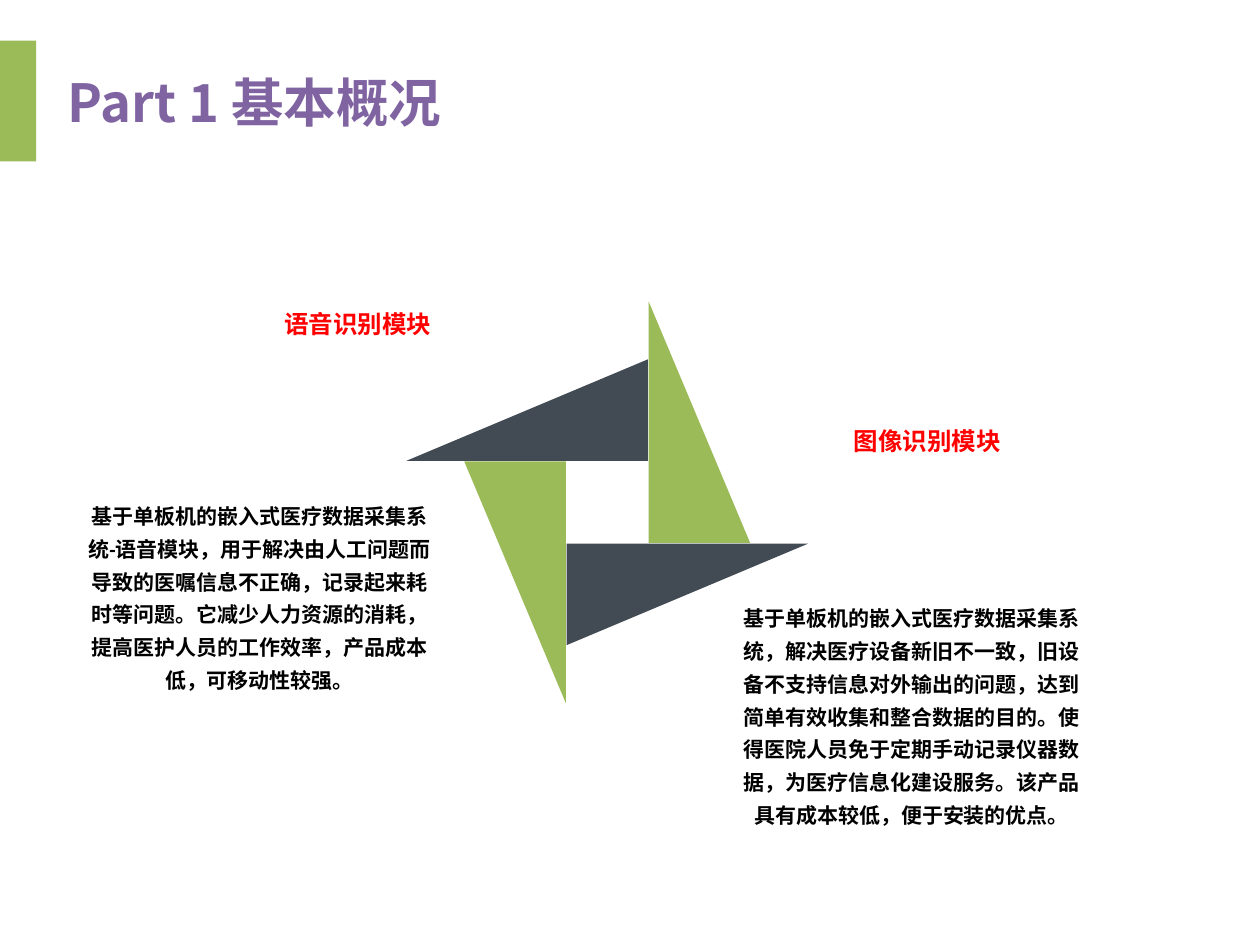
"""Build the project overview slide with a four-blade pinwheel and two modules."""
import pptx
import pptx.dml.color
import pptx.enum.shapes
import pptx.enum.text
import pptx.util

Pt = pptx.util.Pt
SHAPES = pptx.enum.shapes.MSO_SHAPE
ANCHOR = pptx.enum.text.MSO_ANCHOR
ALIGN = pptx.enum.text.PP_ALIGN
GREEN, SLATE, PURPLE, RED, BLACK = "9BBB59", "424A53", "8064A2", "FF0000", "000000"

presentation = pptx.Presentation()
presentation.slide_width, presentation.slide_height = Pt(720), Pt(540)
slide = presentation.slides.add_slide(presentation.slide_layouts[6])


def add_filled_shape(kind, left, top, width, height, color, rotation=0):
    shape = slide.shapes.add_shape(kind, Pt(left), Pt(top), Pt(width), Pt(height))
    shape.rotation = rotation
    shape.shadow.inherit = False
    shape.fill.solid()
    shape.fill.fore_color.rgb = pptx.dml.color.RGBColor.from_string(color)
    shape.line.fill.background()


def add_text(text, left, top, width, height, size, color, font="Calibri",
             align=ALIGN.CENTER, anchor=ANCHOR.TOP, spacing=1.3):
    text_box = slide.shapes.add_textbox(Pt(left), Pt(top), Pt(width), Pt(height))
    frame = text_box.text_frame
    frame.word_wrap = True
    frame.vertical_anchor = anchor
    paragraph = frame.paragraphs[0]
    paragraph.alignment = align
    paragraph.line_spacing = spacing
    run = paragraph.add_run()
    run.text = text
    run.font.name = font
    run.font.size = Pt(size)
    run.font.bold = True
    run.font.color.rgb = pptx.dml.color.RGBColor.from_string(color)


add_filled_shape(SHAPES.RECTANGLE, 0, 23.3, 20.7, 69, GREEN)
add_text("Part 1 基本概况", 31.7, 23.3, 269.3, 69, 30, PURPLE, font="Noto Sans CJK SC",
         align=ALIGN.LEFT, anchor=ANCHOR.MIDDLE, spacing=1)

center_x, center_y = 347, 287
blade_width, blade_height = 58, 138
offset_x, offset_y = 52.7, -45.7
for rotation, color in ((0, GREEN), (270, SLATE), (180, GREEN), (90, SLATE)):
    add_filled_shape(SHAPES.RIGHT_TRIANGLE,
                     center_x + offset_x - blade_width / 2,
                     center_y + offset_y - blade_height / 2,
                     blade_width, blade_height, color, rotation)
    offset_x, offset_y = offset_y, -offset_x

add_text("图像识别模块", 419.8, 234.7, 220.3, 28.8, 14, RED)
add_text("基于单板机的嵌入式医疗数据采集系统-语音模块，用于解决由人工问题而导致的医嘱信息不正确，"
         "记录起来耗时等问题。它减少人力资源的消耗，提高医护人员的工作效率，产品成本低，可移动性较强。",
         43.2, 280, 210.2, 136, 12, BLACK)
add_text("语音识别模块", 85, 167.8, 239, 67, 14, RED)
add_text("基于单板机的嵌入式医疗数据采集系统，解决医疗设备新旧不一致，旧设备不支持信息对外输出的问题，"
         "达到简单有效收集和整合数据的目的。使得医院人员免于定期手动记录仪器数据，为医疗信息化建设服务。"
         "该产品具有成本较低，便于安装的优点。",
         412.6, 338.4, 216.7, 154.8, 12, BLACK)

presentation.save("out.pptx")
